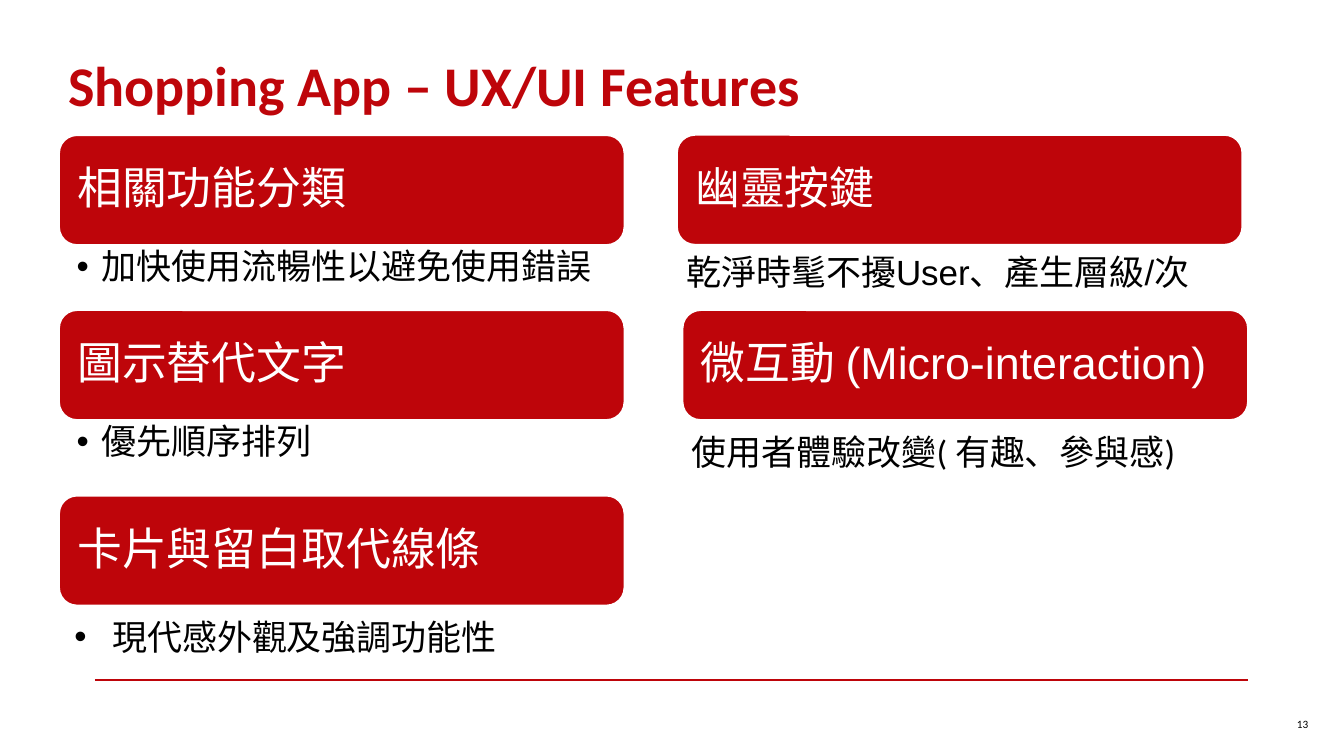
from dataclasses import dataclass

from lxml.etree import SubElement
from pptx import Presentation
from pptx.dml.color import RGBColor
from pptx.enum.shapes import MSO_CONNECTOR, MSO_SHAPE
from pptx.enum.text import MSO_ANCHOR, PP_ALIGN
from pptx.oxml.ns import qn
from pptx.slide import Slide
from pptx.text.text import TextFrame, _Paragraph as Paragraph
from pptx.util import Pt

COLORS = {"red": "BE050A", "white": "FFFFFF", "black": "000000"}
CARD_WIDTH, CARD_HEIGHT = 404.6, 79.2


@dataclass(frozen=True)
class Card:
    left: float
    top: float
    heading: str


@dataclass(frozen=True)
class Label:
    text: str
    left: float
    top: float
    width: float
    height: float
    size: float = 25
    font: str = "Arial"
    color: str = "black"
    bold: bool = False
    anchor: MSO_ANCHOR = MSO_ANCHOR.TOP
    align: PP_ALIGN = PP_ALIGN.LEFT
    wrap: bool = True
    insets: tuple[float, float, float, float] = (7.2, 3.6, 7.2, 3.6)
    bullet_indent: float = 0
    line_spacing: float = 1


CARDS = [
    Card(41.8, 96.2, "相關功能分類"),
    Card(41.8, 221.2, "圖示替代文字"),
    Card(41.8, 353.7, "卡片與留白取代線條"),
    Card(483.2, 96, "幽靈按鍵"),
    Card(487.2, 221.2, "微互動 (Micro-interaction)"),
]

LIST_STYLE = {"insets": (12.85, 3.2, 18, 3.2), "bullet_indent": 18, "line_spacing": 0.9}

LABELS = [
    Label("Shopping App – UX/UI Features", 41.8, 37.4, 807.8, 45.4, size=40,
          font="Calibri", color="red", bold=True, anchor=MSO_ANCHOR.MIDDLE),
    Label("13", 829.4, 501.8, 112.3, 30.2, size=8, font="Calibri",
          anchor=MSO_ANCHOR.MIDDLE, align=PP_ALIGN.RIGHT, wrap=False),
    Label("加快使用流暢性以避免使用錯誤", 41.8, 175.2, CARD_WIDTH, 45.4, **LIST_STYLE),
    Label("優先順序排列", 41.8, 300.2, CARD_WIDTH, 45.4, **LIST_STYLE),
    Label("現代感外觀及強調功能性", 46.1, 436.3, 396.7, 37.4,
          font="Calibri", bullet_indent=27),
    Label("乾淨時髦不擾User、產生層級/次", 483.2, 175.2, CARD_WIDTH, 37.4),
    Label("使用者體驗改變( 有趣、參與感)", 487.2, 303.8, 423.4, 37.4, font="Calibri"),
]


def rgb(name: str) -> RGBColor:
    return RGBColor.from_string(COLORS[name])


def set_insets(frame: TextFrame, insets: tuple[float, float, float, float]) -> None:
    """Set the left, top, right and bottom insets."""
    (frame.margin_left, frame.margin_top,
     frame.margin_right, frame.margin_bottom) = map(Pt, insets)


def add_bullet(paragraph: Paragraph, indent: float) -> None:
    properties = paragraph._p.get_or_add_pPr()
    properties.set("marL", str(Pt(indent)))
    properties.set("indent", str(-Pt(indent)))
    SubElement(properties, qn("a:buFont")).set("typeface", "Arial")
    SubElement(properties, qn("a:buChar")).set("char", "•")


def style_font(paragraph: Paragraph, name: str, size: float, color: str,
               bold: bool = False) -> None:
    font = paragraph.runs[0].font
    font.name, font.size, font.bold = name, Pt(size), bold
    font.color.rgb = rgb(color)


def draw_card(slide: Slide, card: Card) -> None:
    box = slide.shapes.add_shape(MSO_SHAPE.ROUNDED_RECTANGLE, Pt(card.left), Pt(card.top),
                                 Pt(CARD_WIDTH), Pt(CARD_HEIGHT))
    box.shadow.inherit = False
    box.fill.solid()
    box.fill.fore_color.rgb = rgb("red")
    box.line.color.rgb = rgb("white")
    box.line.width = Pt(2)
    frame = box.text_frame
    frame.word_wrap = True
    frame.vertical_anchor = MSO_ANCHOR.MIDDLE
    set_insets(frame, (9.6, 9.6, 9.6, 9.6))
    heading = frame.paragraphs[0]
    heading.text = card.heading
    heading.alignment = PP_ALIGN.LEFT
    heading.line_spacing = 0.9
    style_font(heading, "Arial", 32, "white")


def draw_label(slide: Slide, label: Label) -> None:
    box = slide.shapes.add_textbox(Pt(label.left), Pt(label.top),
                                   Pt(label.width), Pt(label.height))
    frame = box.text_frame
    frame.word_wrap = label.wrap
    frame.vertical_anchor = label.anchor
    set_insets(frame, label.insets)
    paragraph = frame.paragraphs[0]
    paragraph.text = label.text
    if label.bullet_indent:
        add_bullet(paragraph, label.bullet_indent)
    paragraph.alignment = label.align
    paragraph.line_spacing = label.line_spacing
    style_font(paragraph, label.font, label.size, label.color, label.bold)


def draw_footer_rule(slide: Slide) -> None:
    rule = slide.shapes.add_connector(MSO_CONNECTOR.STRAIGHT, Pt(67.7), Pt(486),
                                      Pt(891.4), Pt(486))
    rule.line.color.rgb = rgb("red")
    rule.line.width = Pt(1.5)
    SubElement(rule._element.spPr, qn("a:effectLst"))


def main() -> None:
    deck = Presentation()
    deck.slide_width, deck.slide_height = Pt(960), Pt(540)
    slide = deck.slides.add_slide(deck.slide_layouts[6])
    draw_footer_rule(slide)
    for card in CARDS:
        draw_card(slide, card)
    for label in LABELS:
        draw_label(slide, label)
    deck.save("out.pptx")


if __name__ == "__main__":
    main()
